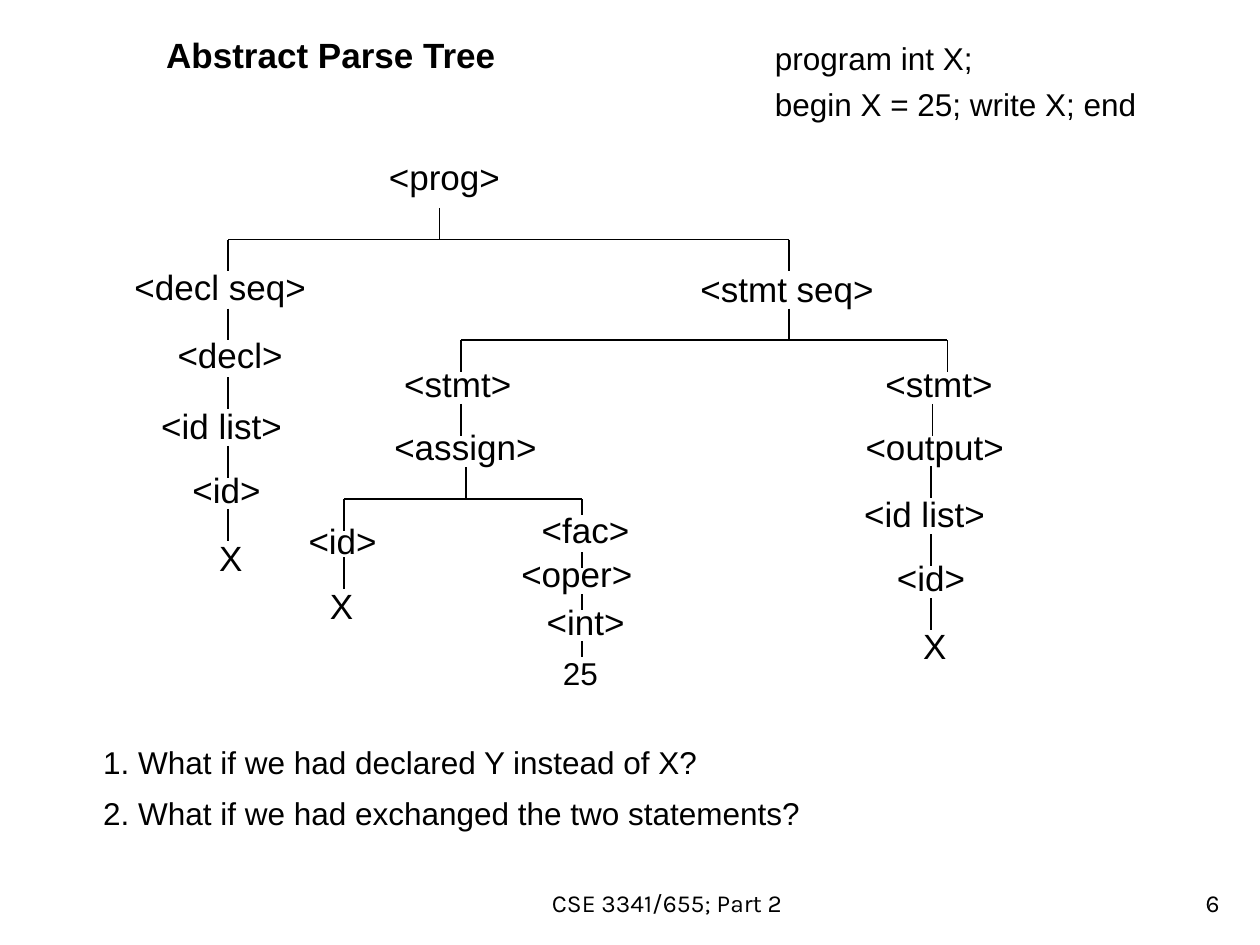
from dataclasses import dataclass

from lxml import etree
from pptx import Presentation
from pptx.dml.color import RGBColor
from pptx.enum.shapes import MSO_CONNECTOR
from pptx.enum.text import MSO_ANCHOR, MSO_AUTO_SIZE, PP_ALIGN
from pptx.oxml.ns import qn
from pptx.util import Cm, Pt

STRAIGHT = MSO_CONNECTOR.STRAIGHT
TOP, BOTTOM = MSO_ANCHOR.TOP, MSO_ANCHOR.BOTTOM
GROW, FIXED = MSO_AUTO_SIZE.SHAPE_TO_FIT_TEXT, MSO_AUTO_SIZE.NONE
LEFT, CENTER, RIGHT = PP_ALIGN.LEFT, PP_ALIGN.CENTER, PP_ALIGN.RIGHT


@dataclass(frozen=True)
class Theme:
    ink: RGBColor = RGBColor(0, 0, 0)
    body_font: str = "Arial"
    footer_font: str = "Karla"
    node_size: Pt = Pt(20)
    text_size: Pt = Pt(18)
    footer_size: Pt = Pt(14)
    line_width: Pt = Pt(1)


theme = Theme()
NODE = {"name": theme.body_font, "size": theme.node_size}
TITLE = {**NODE, "bold": True}
BODY = {"name": theme.body_font, "size": theme.text_size}
FOOTER = {"name": theme.footer_font, "size": theme.footer_size}

FLOWING = {"alignment": LEFT, "space_before": Pt(12.5)}
QUESTION = {"alignment": LEFT, "space_before": Pt(11.2)}
CODE = {**QUESTION, "line_spacing": Pt(15)}

presentation = Presentation()
presentation.slide_width, presentation.slide_height = Cm(25.4), Cm(19.05)
slide = presentation.slides.add_slide(presentation.slide_layouts[6])


def add_text(lines, box, font_format, paragraph_format, anchor=TOP, auto_size=GROW):
    """Add a text box, one paragraph per line; box is left, top, width, height in cm."""
    frame = slide.shapes.add_textbox(*map(Cm, box)).text_frame
    frame_format = {"word_wrap": True, "vertical_anchor": anchor, "auto_size": auto_size}
    for name, value in frame_format.items():
        setattr(frame, name, value)
    for index, line in enumerate(lines):
        paragraph = frame.add_paragraph() if index else frame.paragraphs[0]
        for name, value in paragraph_format.items():
            setattr(paragraph, name, value)
        run = paragraph.add_run()
        run.text = line
        run.font.color.rgb = theme.ink
        for name, value in font_format.items():
            setattr(run.font, name, value)


def add_line(*ends):
    connector = slide.shapes.add_connector(STRAIGHT, *map(Cm, ends))
    connector.line.color.rgb = theme.ink
    connector.line.width = theme.line_width
    etree.SubElement(connector._element.spPr, qn("a:effectLst"))


# Heading and the program being parsed
add_text(["Abstract Parse Tree"], (3.1, 0.56, 9.5, 1.12), TITLE, FLOWING)
add_text(["program int X;", "begin X = 25; write X; end"],
         (15.37, 0.89, 8.74, 1.73), BODY, CODE)

# Tree edges: horizontal branches, then the stems grouped by column
branches = [(4.6, 15.9, 4.83), (9.3, 19.1, 6.86), (6.93, 11.73, 10.06)]
for start, end, level in branches:
    add_line(start, level, end, level)

LONG_STEM, SHORT_STEM = 0.64, 0.32
stems = [
    (8.86, LONG_STEM, [4.19]),
    (4.6, LONG_STEM, [4.83, 6.22, 7.6, 8.99, 10.27]),
    (15.9, LONG_STEM, [4.83, 6.22]),
    (9.3, LONG_STEM, [6.86, 8.14]),
    (9.4, LONG_STEM, [9.42]),
    (6.93, LONG_STEM, [10.06, 11.23]),
    (11.73, SHORT_STEM, [10.06, 11.13, 11.98, 12.93]),
    (19.1, LONG_STEM, [6.86]),
    (18.8, LONG_STEM, [8.14]),
    (18.77, LONG_STEM, [9.4, 10.77, 12.06]),
]
for column, length, tops in stems:
    for top in tops:
        add_line(column, top, column, top + length)

# Tree nodes: text, left, top, width
nodes = [
    ("<prog>", 7.59, 3.02, 3.3),
    ("<decl seq>", 2.46, 5.23, 4.27),
    ("<decl>", 3.33, 6.6, 3.3),
    ("<id list>", 3, 8.03, 3.53),
    ("<id>", 3.63, 9.32, 2.57),
    ("X", 4.17, 10.69, 1.7),
    ("<stmt seq>", 13.87, 5.26, 4.27),
    ("<stmt>", 7.9, 7.19, 3.3),
    ("<assign>", 7.7, 8.46, 3.53),
    ("<id>", 5.97, 10.34, 2.57),
    ("X", 6.4, 11.66, 1.7),
    ("<fac>", 10.67, 10.13, 2.57),
    ("<oper>", 10.26, 11.02, 2.77),
    ("<int>", 10.77, 11.99, 2.57),
    ("<stmt>", 17.6, 7.19, 3.3),
    ("<output>", 17.2, 8.46, 3.53),
    ("<id list>", 17.17, 9.8, 3.53),
    ("<id>", 17.83, 11.1, 2.57),
    ("X", 18.36, 12.47, 1.7),
]
for text, left, top, width in nodes:
    add_text([text], (left, top, width, 1.12), NODE, FLOWING)
add_text(["25"], (11.1, 13.06, 1.3, 1.02), BODY, QUESTION)

# Questions
questions = [
    "1. What if we had declared Y instead of X?",
    "2. What if we had exchanged the two statements?",
]
for index, question in enumerate(questions):
    add_text([question], (1.83, 14.86 + index * 1.02, 16, 1.02), BODY, QUESTION)

# Footer
add_text(["CSE 3341/655; Part 2"], (6.3, 17.32, 14.3, 1.3), FOOTER,
         {"alignment": CENTER}, BOTTOM, FIXED)
add_text(["6"], (19.56, 17.35, 5.28, 1.27), FOOTER, {"alignment": RIGHT}, BOTTOM, FIXED)

presentation.save("out.pptx")
